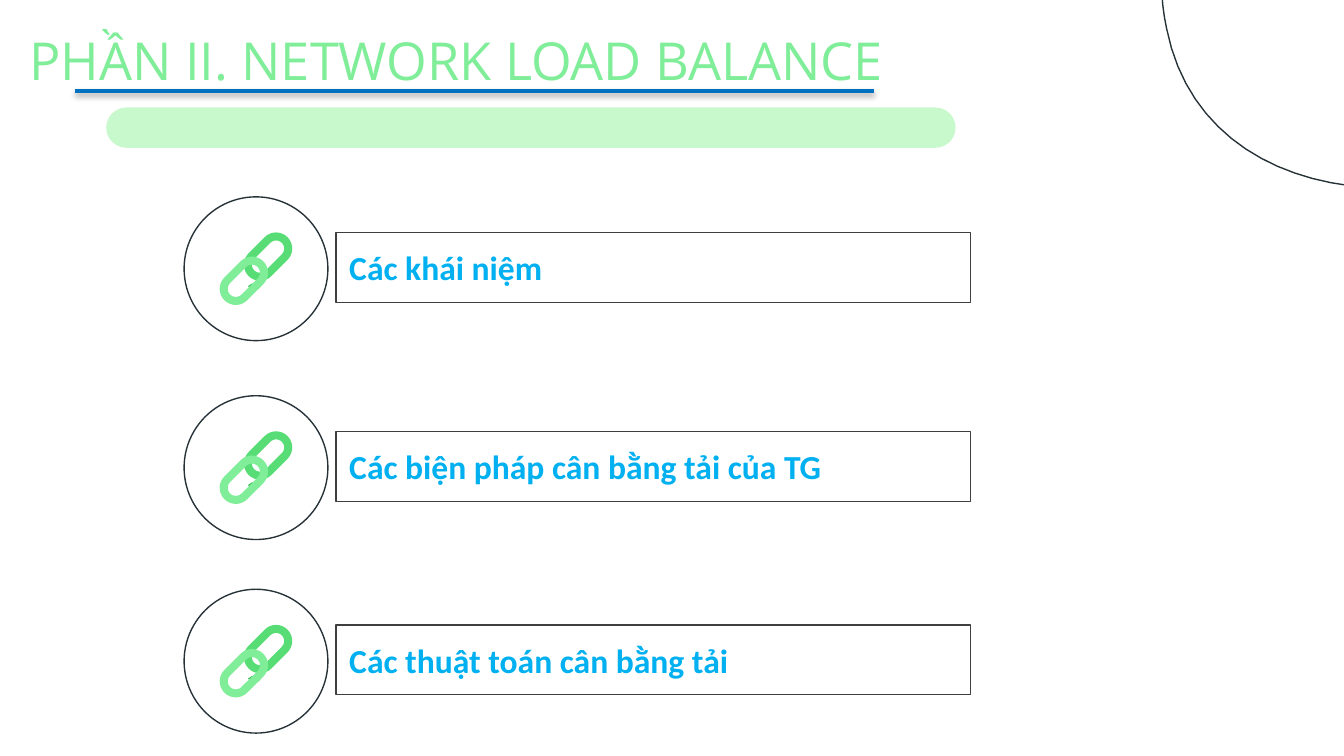
from math import cos, pi, radians, sin

from lxml import etree
from pptx import Presentation
from pptx.dml.color import RGBColor
from pptx.enum.shapes import MSO_CONNECTOR, MSO_SHAPE
from pptx.enum.text import MSO_ANCHOR, PP_ALIGN
from pptx.oxml.ns import nsdecls, qn
from pptx.util import Inches, Pt

MIDDLE, LEFT = MSO_ANCHOR.MIDDLE, PP_ALIGN.LEFT
OVAL, RECT, PILL = MSO_SHAPE.OVAL, MSO_SHAPE.RECTANGLE, MSO_SHAPE.ROUNDED_RECTANGLE

TITLE = "PHẦN II. NETWORK LOAD BALANCE"
# topic and vertical centre of its row
TOPICS = [
    ("Các khái niệm", 2.0),
    ("Các biện pháp cân bằng tải của TG", 3.48),
    ("Các thuật toán cân bằng tải", 4.92),
]

THEME = dict(
    title="80ED99", bar="C7F9CC", rule="0070C0", ink="263238", box="3F3F3F",
    topic="00B0F0", link_back="58DD76", link_front="80ED99", link_shade="34B952",
    title_font="Open Sans", topic_font="Calibri", title_size=28, topic_size=18,
    outline=0.75, rule_width=2,
)

SLIDE_W = Inches(10)
SLIDE_H = SLIDE_W * 9 // 16
TITLE_BOX = (0.12, 0.11, 8.87, 0.67)
BAR = (0.79, 0.8, 6.32, 0.3)
RULE = (0.56, 6.5, 0.68)  # left, right, y
CIRCLE_X, CIRCLE_D = 1.37, 1.07
BOX_X, BOX_W, BOX_H, BOX_LIFT = 2.5, 4.72, 0.52, 0.01

# Chain link: offset of centre, half length along each axis, outer and inner radius
LINK_SHIFT, LINK_REACH, LINK_OUTER, LINK_INNER = 0.09, 0.06, 0.12, 0.06
LINK_SHADE = [(-0.06, 0.13), (-0.03, 0.11), (0, 0.11), (0.05, 0.1),
              (0.08, 0.07), (0.02, 0.15), (-0.03, 0.15)]

# Corner blob: start point, then Bézier segments (two controls and an end)
BLOB_START = (12.11, -1.85)
BLOB_CURVES = [
    ((12.03, -1.85), (11.93, -1.82), (11.83, -1.77)),
    ((11.44, -1.57), (11.41, -1.13), (10.88, -1.11)),
    ((10.83, -1.1), (10.78, -1.1), (10.73, -1.1)),
    ((10.48, -1.1), (10.24, -1.13), (10.02, -1.13)),
    ((9.75, -1.13), (9.48, -1.09), (9.18, -0.93)),
    ((8.68, -0.66), (8.58, -0.26), (8.68, 0.21)),
    ((8.84, 1.02), (9.54, 1.4), (10.34, 1.4)),
    ((10.69, 1.4), (11.05, 1.33), (11.39, 1.2)),
    ((12.49, 0.78), (13, -0.2), (12.75, -1.17)),
    ((12.68, -1.46), (12.47, -1.85), (12.11, -1.85)),
]


def color(name):
    return RGBColor.from_string(THEME[name])


def paint(sp, fill=None, line=None):
    sp.shadow.inherit = False
    if fill:
        sp.fill.solid()
        sp.fill.fore_color.rgb = color(fill)
    else:
        sp.fill.background()
    if line:
        sp.line.color.rgb = color(line)
        sp.line.width = Pt(THEME["outline"])
    else:
        sp.line.fill.background()


def add_preset(s, kind, box, **style):
    sp = s.shapes.add_shape(kind, *map(Inches, box))
    paint(sp, **style)
    return sp


def add_outline(s, contours, **style):
    """Draw closed contours, in inches, as one freeform."""
    builder = None
    for contour in contours:
        first, *rest = [(Inches(x), Inches(y)) for x, y in contour]
        if builder is None:
            builder = s.shapes.build_freeform(*first)
        else:
            builder.move_to(*first)
        builder.add_line_segments(rest, close=True)
    paint(builder.convert_to_shape(), **style)


def write(sp, text, role, bold=False):
    tf = sp.text_frame
    tf.word_wrap = True
    tf.vertical_anchor = MIDDLE
    tf.margin_left = tf.margin_right = tf.margin_top = tf.margin_bottom = Inches(0.1)
    tf.text = text
    p = tf.paragraphs[0]
    p.alignment = LEFT
    font = p.runs[0].font
    font.name, font.size, font.bold = THEME[role + "_font"], Pt(THEME[role + "_size"]), bold
    font.color.rgb = color(role)


def bezier_points(start, curves, steps=16):
    points = [start]
    for b, c, d in curves:
        a = points[-1]
        for i in range(1, steps + 1):
            t, u = i / steps, 1 - i / steps
            points.append(tuple(u**3 * a[k] + 3 * u * u * t * b[k] + 3 * u * t * t * c[k]
                                + t**3 * d[k] for k in (0, 1)))
    return points


def capsule(cx, cy, radius, steps=16):
    """Points of a capsule that rises to the right at 45 degrees."""
    points = []
    for side, start in ((1, -135), (-1, 45)):
        for i in range(steps + 1):
            a = radians(start) + pi * i / steps
            points.append((cx + side * LINK_REACH + radius * cos(a),
                           cy - side * LINK_REACH + radius * sin(a)))
    return points


def add_chain(s, cx, cy):
    def add_link(shift, fill):
        x, y = cx + shift, cy - shift
        add_outline(s, [capsule(x, y, LINK_OUTER), capsule(x, y, LINK_INNER)[::-1]], fill=fill)

    add_link(LINK_SHIFT, "link_back")
    add_outline(s, [[(cx + x, cy + y) for x, y in LINK_SHADE]], fill="link_shade")
    add_link(-LINK_SHIFT, "link_front")


def add_rule(s, left, right, y):
    ln = s.shapes.add_connector(MSO_CONNECTOR.STRAIGHT, *map(Inches, (left, y, right, y)))
    ln.line.color.rgb = color("rule")
    ln.line.width = Pt(THEME["rule_width"])
    ln._element.find(qn("p:spPr")).append(etree.fromstring(
        f'<a:effectLst {nsdecls("a")}><a:outerShdw blurRad="{Pt(3.1)}" dist="{Pt(1.6)}" '
        'dir="5400000" rotWithShape="0"><a:srgbClr val="000000"><a:alpha val="38000"/>'
        '</a:srgbClr></a:outerShdw></a:effectLst>'))


def add_topic(s, text, cy):
    circle = (CIRCLE_X, cy - CIRCLE_D / 2, CIRCLE_D, CIRCLE_D)
    add_preset(s, OVAL, circle, line="ink")
    box_y = cy - BOX_H / 2 - BOX_LIFT
    box = add_preset(s, RECT, (BOX_X, box_y, BOX_W, BOX_H), line="box")
    write(box, text, "topic", bold=True)
    add_chain(s, CIRCLE_X + CIRCLE_D / 2, cy)


def main():
    prs = Presentation()
    prs.slide_width, prs.slide_height = SLIDE_W, SLIDE_H
    s = prs.slides.add_slide(prs.slide_layouts[6])

    bar = add_preset(s, PILL, BAR, fill="bar")
    bar.adjustments[0] = 0.5
    add_outline(s, [bezier_points(BLOB_START, BLOB_CURVES)], line="ink")
    write(s.shapes.add_textbox(*map(Inches, TITLE_BOX)), TITLE, "title")
    add_rule(s, *RULE)
    for text, cy in reversed(TOPICS):
        add_topic(s, text, cy)

    prs.save("out.pptx")


if __name__ == "__main__":
    main()
